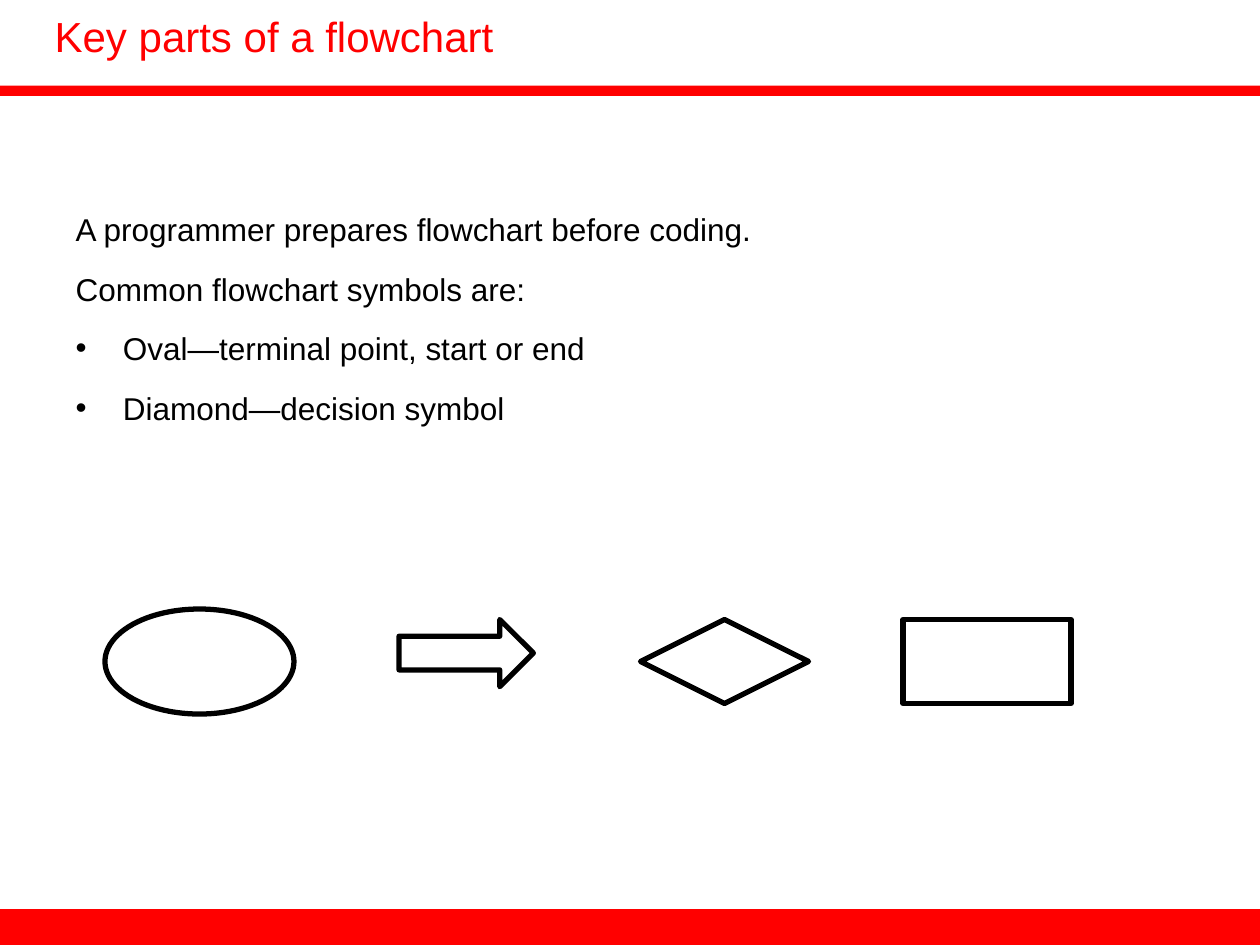
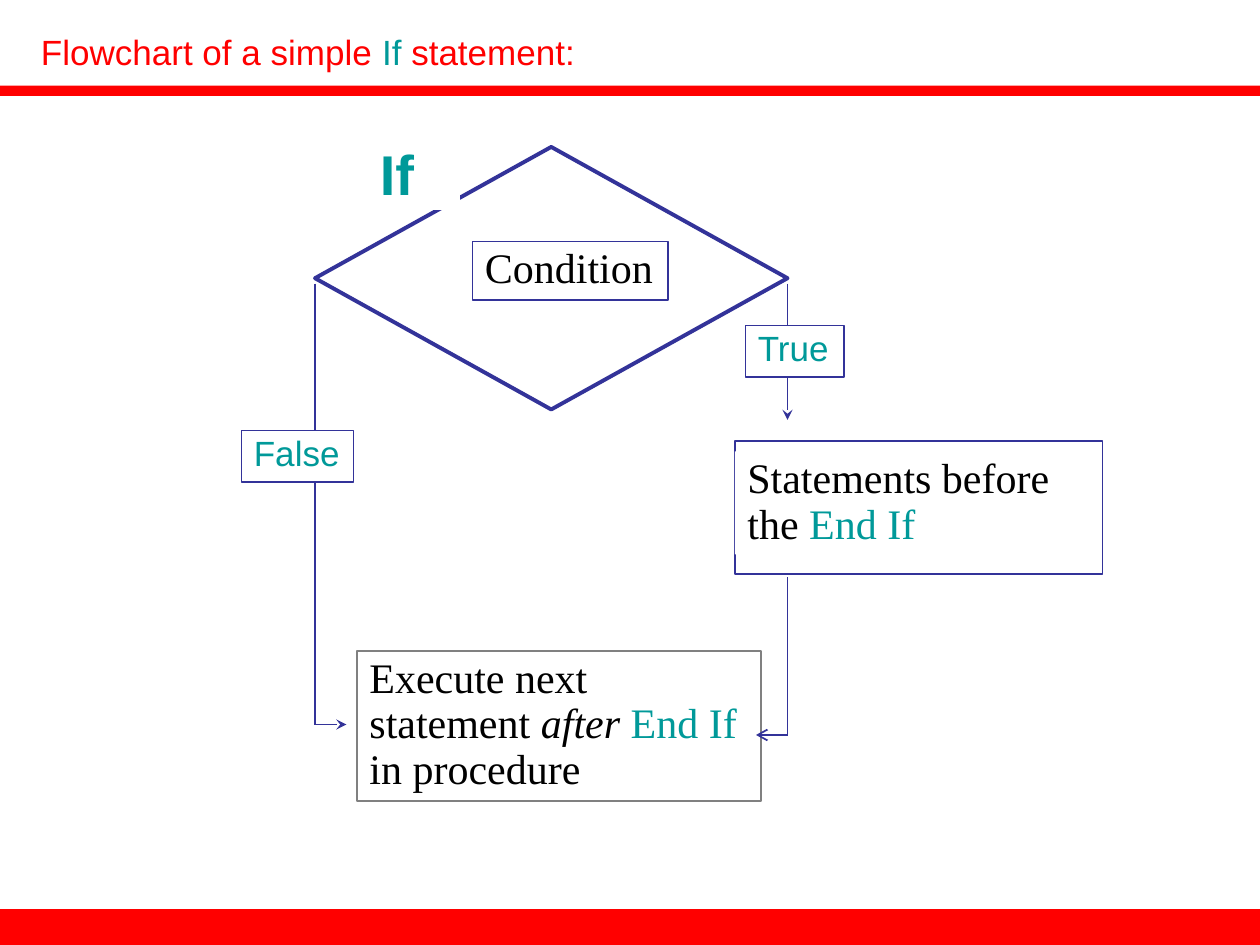
import pptx
import pptx.util
import pptx.dml.color
import pptx.enum.shapes
import pptx.enum.text
import pptx.oxml
import pptx.oxml.ns

SHAPE = pptx.enum.shapes.MSO_SHAPE
Pt = pptx.util.Pt

RED = pptx.dml.color.RGBColor(0xFF, 0x00, 0x00)
TEAL = pptx.dml.color.RGBColor(0x00, 0x99, 0x99)
INDIGO = pptx.dml.color.RGBColor(0x33, 0x33, 0x99)
GRAY = pptx.dml.color.RGBColor(0x80, 0x80, 0x80)
BLACK = pptx.dml.color.RGBColor(0x00, 0x00, 0x00)
WHITE = pptx.dml.color.RGBColor(0xFF, 0xFF, 0xFF)

SLIDE_WIDTH = pptx.util.Inches(10)
SLIDE_HEIGHT = pptx.util.Inches(7.5)
COLUMNS, ROWS = 120, 90
COLUMN = SLIDE_WIDTH // COLUMNS
ROW = SLIDE_HEIGHT // ROWS

BANDS = [(0, 86.6, COLUMNS, 3.4), (0, 8.15, COLUMNS, 1)]
FRAME_FORMAT = {
    "word_wrap": True,
    "auto_size": pptx.enum.text.MSO_AUTO_SIZE.NONE,
    "vertical_anchor": pptx.enum.text.MSO_ANCHOR.TOP,
}
TITLE_FONT = {"name": "Arial", "size": Pt(24), "color": RED}
BODY_FONT = {"name": "Arial", "size": Pt(18), "color": BLACK}
STEP_FONT = {"name": "Times New Roman", "size": Pt(24), "color": BLACK}
BRANCH_FONT = {"name": "Arial", "size": Pt(20), "color": TEAL}
KEYWORD_FONT = {"name": "Arial", "size": Pt(32), "color": TEAL, "bold": True}
KEYWORD = {"color": TEAL}


def set_attributes(target, formats):
    for name, value in formats.items():
        if name == "color":
            target.color.rgb = value
        else:
            setattr(target, name, value)


def place(box, column, row, columns, rows):
    """Turn grid cells counted from the box's corner into slide lengths."""
    return (round((box[0] + column) * COLUMN), round((box[1] + row) * ROW),
            round(columns * COLUMN), round(rows * ROW))


def move(placeholder, box):
    lengths = place((0, 0), *box)
    set_attributes(placeholder, dict(zip(("left", "top", "width", "height"), lengths)))


def write(frame, lines, font, paragraph_format, frame_format=None):
    """Fill a frame; each line is a list of (words, font changes)."""
    set_attributes(frame, {**FRAME_FORMAT, **(frame_format or {})})
    for index, line in enumerate(lines):
        paragraph = frame.add_paragraph() if index else frame.paragraphs[0]
        set_attributes(paragraph, {"alignment": pptx.enum.text.PP_ALIGN.LEFT,
                                   **paragraph_format})
        for words, changes in line:
            run = paragraph.add_run()
            run.text = words
            set_attributes(run.font, {**font, **changes})


def draw(slide, kind, lengths, fill=WHITE, line=None, width=1):
    shape = slide.shapes.add_shape(kind, *lengths)
    shape.shadow.inherit = False
    if fill is None:
        shape.fill.background()
    else:
        shape.fill.solid()
        shape.fill.fore_color.rgb = fill
    if line is None:
        shape.line.fill.background()
    else:
        shape.line.color.rgb = line
        shape.line.width = Pt(width)
    return shape


def draw_flow(slide, box, start, end, arrowhead=None):
    begin_x, begin_y = place(box, *start, 0, 0)[:2]
    end_x, end_y = place(box, *end, 0, 0)[:2]
    flow = slide.shapes.add_connector(pptx.enum.shapes.MSO_CONNECTOR.STRAIGHT,
                                      begin_x, begin_y, end_x, end_y)
    flow.line.color.rgb = INDIGO
    flow.line.width = Pt(1)
    if arrowhead:
        tail = pptx.oxml.parse_xml(
            f'<a:tailEnd {pptx.oxml.ns.nsdecls("a")} type="{arrowhead}"/>')
        flow.line.fill  # the line element already exists and takes the arrowhead
        flow.element.spPr.find(pptx.oxml.ns.qn("a:ln")).append(tail)
    flow.element.spPr.append(
        pptx.oxml.parse_xml(f'<a:effectLst {pptx.oxml.ns.nsdecls("a")}/>'))


def add_master_bands(presentation, slide):
    """Draw the red bands and hand them to the master, behind all slides."""
    tree = presentation.slide_master.shapes.element
    for number, band_box in enumerate(BANDS, 101):
        band = draw(slide, SHAPE.RECTANGLE, place((0, 0), *band_box), RED)
        band.element.nvSpPr.cNvPr.set("id", str(number))
        tree.append(band.element)


def add_title(slide, box, parts, size):
    title = slide.shapes.title
    move(title, box)
    write(title.text_frame, [parts], {**TITLE_FONT, "size": Pt(size)}, {},
          {"margin_top": ROW})


def add_symbol_list(slide, box):
    body = slide.placeholders[1]
    move(body, box)
    sentences = ["A programmer prepares flowchart before coding.",
                 "Common flowchart symbols are:"]
    symbols = ["Oval—terminal point, start or end", "Diamond—decision symbol"]
    write(body.text_frame, [[(text, {})] for text in sentences + symbols], BODY_FONT,
          {"line_spacing": Pt(24), "space_before": Pt(0), "space_after": Pt(10)})
    indent = pptx.util.Inches(0.375)
    for paragraph in body.text_frame.paragraphs:
        bullet = 'buChar char="•"' if paragraph.text in symbols else "buNone"
        properties = paragraph._p.get_or_add_pPr()
        properties.set("marL", str(indent))
        properties.set("indent", str(-indent))
        properties.append(
            pptx.oxml.parse_xml(f'<a:{bullet} {pptx.oxml.ns.nsdecls("a")}/>'))


def add_symbol_row(slide, box):
    symbols = [
        (SHAPE.FLOWCHART_PROCESS, (76, 1, 16, 8), None),
        (SHAPE.FLOWCHART_DECISION, (51, 1, 16, 8), None),
        (SHAPE.RIGHT_ARROW, (28, 1, 12.8, 6.4), None),
        (SHAPE.OVAL, (0, 0, 18, 10), WHITE),
    ]
    for kind, cells, fill in symbols:
        draw(slide, kind, place(box, *cells), fill, BLACK, 3)


def add_step(slide, box, cells, lines, font=STEP_FONT, line=None, width=1, **frame_format):
    step = draw(slide, SHAPE.RECTANGLE, place(box, *cells), WHITE, line, width)
    write(step.text_frame, lines, font, {"line_spacing": 0.9}, frame_format)


def add_branch_label(slide, box, cells, answer):
    add_step(slide, box, cells, [[(answer, {})]], BRANCH_FONT, INDIGO, 0.75,
             word_wrap=False)


def add_if_flowchart(slide, box):
    """Draw from back to front, with cells counted from the box's corner."""
    draw_flow(slide, box, (52, 14), (52, 27), "stealth")
    draw_flow(slide, box, (7, 14), (7, 56))
    draw_flow(slide, box, (52, 42), (52, 57))

    draw(slide, SHAPE.RECTANGLE, place(box, 47, 29, 35, 12.7), WHITE, INDIGO)
    add_step(slide, box, (47, 30, 34.1, 9.8),
             [[("Statements before", {})], [("the ", {}), ("End If", KEYWORD)]])
    add_branch_label(slide, box, (48, 18, 9.4, 4.9), "True")
    add_step(slide, box, (11, 49, 38.5, 14.3),
             [[("Execute next", {})],
              [("statement ", {}), ("after ", {"italic": True}), ("End If", KEYWORD)],
              [("in procedure", {})]],
             line=GRAY, word_wrap=False)

    draw(slide, SHAPE.DIAMOND, place(box, 7, 1, 45, 25), WHITE, INDIGO, 2.25)
    add_step(slide, box, (22, 10, 18.6, 5.6), [[("Condition", {})]],
             line=INDIGO, word_wrap=False)

    draw_flow(slide, box, (7, 56), (10, 56), "stealth")
    draw_flow(slide, box, (52, 57), (49, 57), "arrow")
    add_step(slide, box, (12, 0, 8.8, 7), [[("If", {})]], KEYWORD_FONT, margin_top=ROW)
    add_branch_label(slide, box, (0, 28, 10.7, 4.9), "False")


def add_symbols_slide(presentation):
    slide = presentation.slides.add_slide(presentation.slide_layouts[1])
    add_title(slide, (4, 0, 74.3, 8), [("Key parts of a flowchart", {})], 24)
    add_symbol_list(slide, (6, 19, 102, 54))
    add_symbol_row(slide, (10, 58))
    return slide


def add_if_slide(presentation):
    slide = presentation.slides.add_slide(presentation.slide_layouts[5])
    add_title(slide, (2.7, 1.9, 95.4, 7.1),
              [("Flowchart of a simple ", {}), ("If", KEYWORD), (" statement:", {})], 20)
    add_if_flowchart(slide, (23, 13))


def main():
    presentation = pptx.Presentation()
    presentation.slide_width = SLIDE_WIDTH
    presentation.slide_height = SLIDE_HEIGHT
    symbols_slide = add_symbols_slide(presentation)
    add_master_bands(presentation, symbols_slide)
    add_if_slide(presentation)
    presentation.save("out.pptx")


if __name__ == "__main__":
    main()
